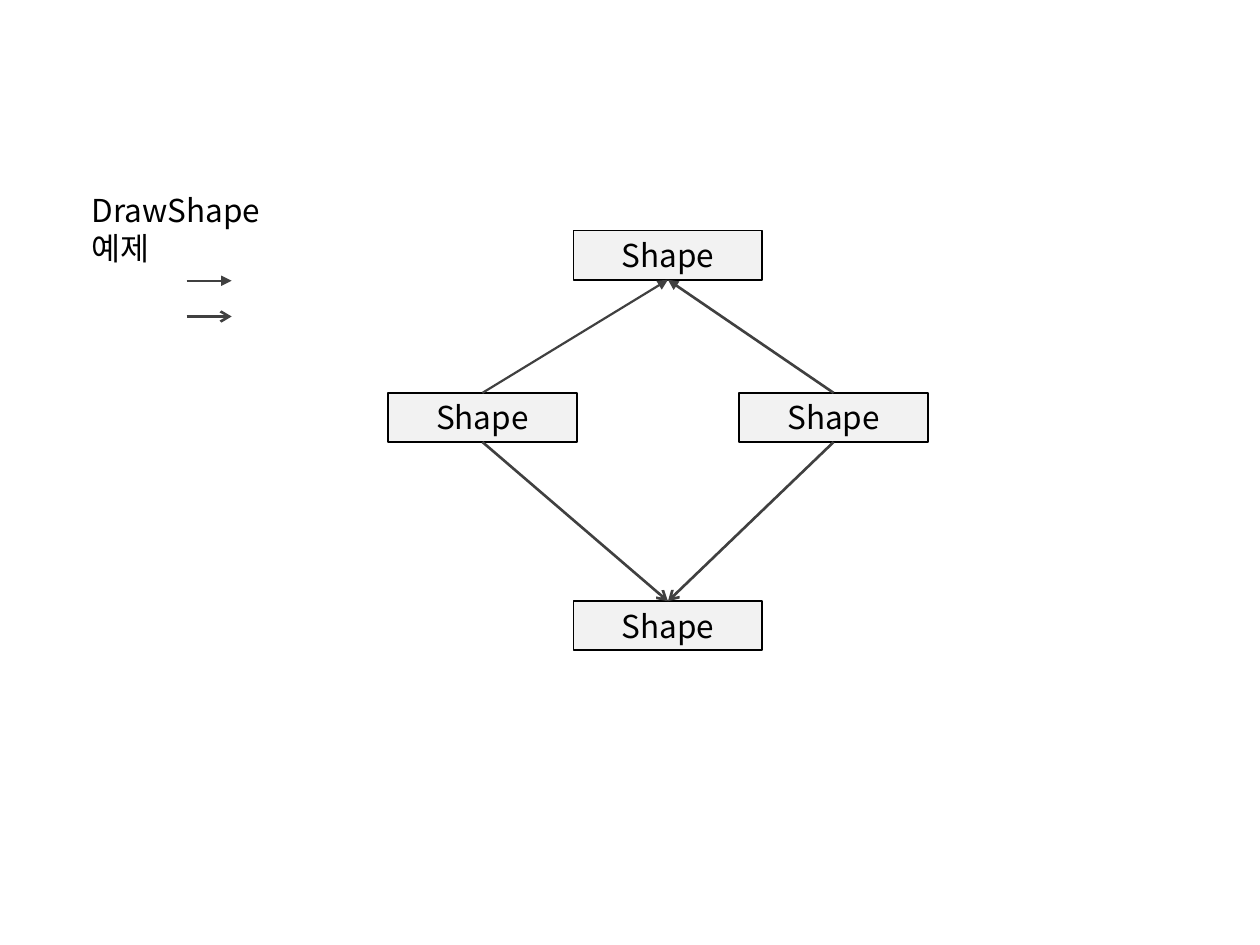
from typing import NamedTuple

from pptx import Presentation
from pptx.dml.color import RGBColor
from pptx.enum.shapes import MSO_CONNECTOR, MSO_SHAPE
from pptx.enum.text import MSO_ANCHOR, PP_ALIGN
from pptx.oxml.ns import qn
from pptx.oxml.xmlchemy import OxmlElement
from pptx.shapes.autoshape import Shape
from pptx.shapes.connector import Connector
from pptx.slide import Slide
from pptx.util import Cm, Pt

FONT = "Noto Sans CJK KR"
BOX_WIDTH, BOX_HEIGHT = 3.81, 0.99
TOP_SITE, BOTTOM_SITE = 0, 2
LABEL_FORMAT = {"size": Pt(18), "name": FONT}
TITLE_FRAME = {"word_wrap": True, "margin_right": Cm(0.8)}
BOX_FRAME = {"word_wrap": True, "vertical_anchor": MSO_ANCHOR.MIDDLE}


class Node(NamedTuple):
    key: str
    left: float
    top: float


class Link(NamedTuple):
    source: str
    source_site: int
    target: str
    target_site: int
    head: str
    weight: float


class Sample(NamedTuple):
    top: float
    head: str
    weight: float


NODES = [
    Node("top", 11.56, 4.65),
    Node("left", 7.82, 7.92),
    Node("right", 14.9, 7.92),
    Node("bottom", 11.56, 12.12),
]
LINKS = [
    Link("left", TOP_SITE, "top", BOTTOM_SITE, "triangle", 1.25),
    Link("right", TOP_SITE, "top", BOTTOM_SITE, "triangle", 1.5),
    Link("right", BOTTOM_SITE, "bottom", TOP_SITE, "arrow", 1.5),
    Link("left", BOTTOM_SITE, "bottom", TOP_SITE, "arrow", 1.5),
]
SAMPLES = [Sample(5.66, "triangle", 1.25), Sample(6.38, "arrow", 1.5)]


def paint(color_format, hex_color: str) -> None:
    """Apply a hex colour to a colour format."""
    color_format.rgb = RGBColor.from_string(hex_color)


def write(shape: Shape, text: str, frame_format: dict, align: PP_ALIGN) -> None:
    """Put one formatted paragraph into a shape."""
    frame = shape.text_frame
    for name, value in frame_format.items():
        setattr(frame, name, value)
    paragraph = frame.paragraphs[0]
    paragraph.alignment = align
    run = paragraph.add_run()
    run.text = text
    for name, value in LABEL_FORMAT.items():
        setattr(run.font, name, value)
    paint(run.font.color, "000000")
    east_asian = OxmlElement("a:ea")
    east_asian.set("typeface", FONT)
    run.font._element.find(qn("a:latin")).addnext(east_asian)


def draw_node(slide: Slide, node: Node) -> Shape:
    """Draw one labelled box of the diagram."""
    box = slide.shapes.add_shape(
        MSO_SHAPE.RECTANGLE, Cm(node.left), Cm(node.top), Cm(BOX_WIDTH), Cm(BOX_HEIGHT)
    )
    box.shadow.inherit = False
    box.fill.solid()
    paint(box.fill.fore_color, "F2F2F2")
    paint(box.line.color, "000000")
    box.line.width = Pt(1)
    write(box, "Shape", BOX_FRAME, PP_ALIGN.CENTER)
    return box


def draw_arrow(slide: Slide, top: float, head: str, weight: float) -> Connector:
    """Draw a short horizontal arrow with the given head."""
    arrow = slide.shapes.add_connector(
        MSO_CONNECTOR.STRAIGHT, Cm(3.76), Cm(top), Cm(4.67), Cm(top)
    )
    paint(arrow.line.color, "404040")
    arrow.line.width = Pt(weight)
    tail = OxmlElement("a:tailEnd")
    tail.set("type", head)
    arrow.line._get_or_add_ln().append(tail)
    arrow._element.spPr.append(OxmlElement("a:effectLst"))
    return arrow


def draw_link(slide: Slide, boxes: dict[str, Shape], link: Link) -> None:
    """Join two boxes with an arrow glued to both."""
    arrow = draw_arrow(slide, 0, link.head, link.weight)
    arrow.begin_connect(boxes[link.source], link.source_site)
    arrow.end_connect(boxes[link.target], link.target_site)


def main() -> None:
    """Build the slide and save it."""
    deck = Presentation()
    deck.slide_width, deck.slide_height = Cm(25.4), Cm(19.05)
    slide = deck.slides.add_slide(deck.slide_layouts[6])
    boxes = {node.key: draw_node(slide, node) for node in NODES}
    title = slide.shapes.add_textbox(Cm(1.6), Cm(3.73), Cm(5.28), Cm(1.02))
    write(title, "DrawShape 예제", TITLE_FRAME, PP_ALIGN.LEFT)
    for link in LINKS:
        draw_link(slide, boxes, link)
    for sample in SAMPLES:
        draw_arrow(slide, *sample)
    deck.save("out.pptx")


if __name__ == "__main__":
    main()
